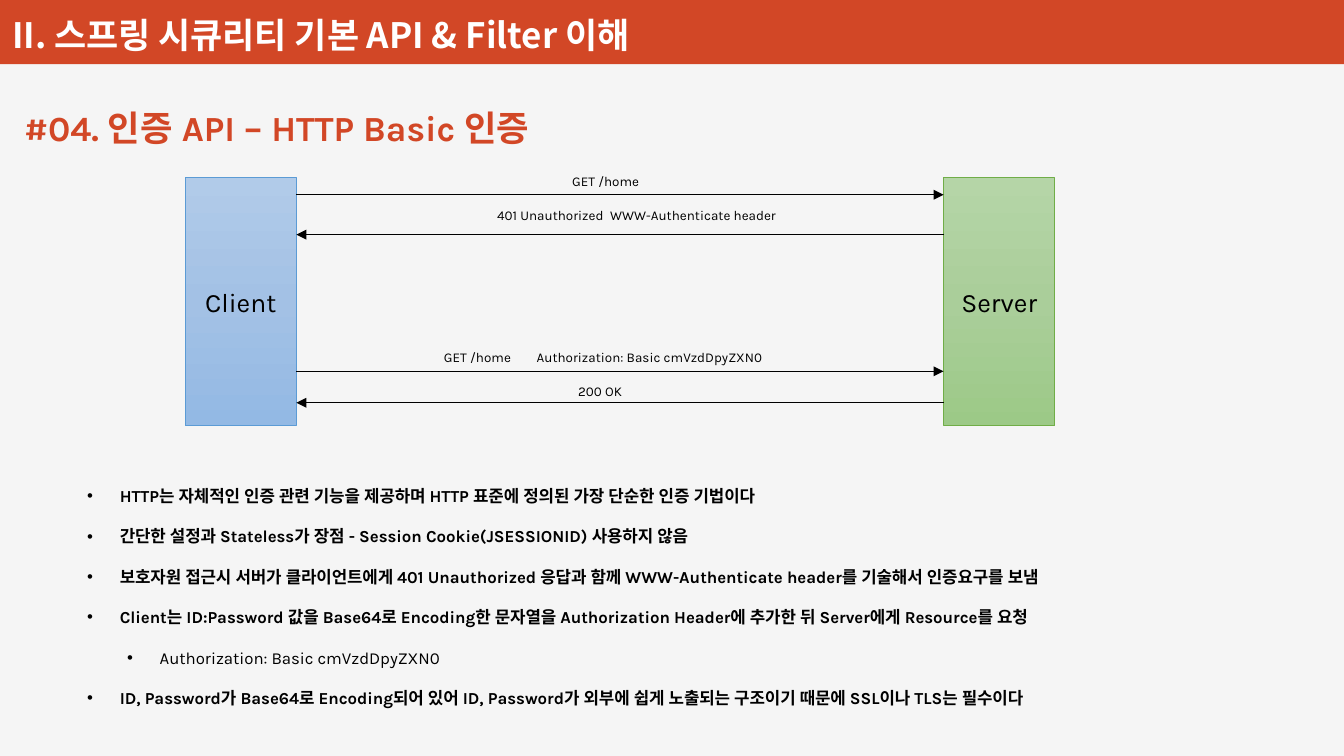
from dataclasses import dataclass

from lxml import etree
from pptx import Presentation
from pptx import util as u
from pptx.dml.color import RGBColor
from pptx.enum import shapes, text
from pptx.oxml.ns import qn


@dataclass(frozen=True)
class Theme:
    latin: str = "Karla"
    korean: str = "Noto Sans CJK KR"
    paper: str = "F5F5F5"
    accent: str = "D24726"
    white: str = "FFFFFF"
    ink: str = "000000"
    header_size: float = 20.8
    title_size: float = 21
    party_size: float = 15.8
    bullet_size: float = 10
    message_size: float = 8
    hairline: float = 0.5


@dataclass(frozen=True)
class Box:
    """Left, top, width and height in percent of the slide."""
    left: float
    top: float
    width: float
    height: float


@dataclass(frozen=True)
class Party:
    name: str
    left: float
    shades: tuple[str, str, str]
    outline: str


@dataclass(frozen=True)
class Message:
    words: str
    box: Box
    arrow_row: float
    to_server: bool
    tab: float = 0


@dataclass(frozen=True)
class Bullet:
    words: str
    level: int = 0


THEME = Theme()
PARTY_TOP, PARTY_WIDTH, PARTY_HEIGHT = 23.52, 8.28, 32.8

CLIENT = Party("Client", 13.77, ("B1CBE9", "A3C1E5", "93B9E4"), "5B9BD5")
SERVER = Party("Server", 70.21, ("B5D5A7", "AACE9A", "9CC987"), "70AD47")

MESSAGES = [
    Message("GET /home", Box(41.76, 22.08, 8, 3.04), 25.76, True),
    Message("401 Unauthorized\tWWW-Authenticate header",
            Box(36.18, 26.56, 23, 3.36), 31.04, False, tab=8.4),
    Message("GET /home\tAuthorization: Basic cmVzdDpyZXN0",
            Box(32.22, 45.44, 26, 3.52), 49.12, True, tab=6.9),
    Message("200 OK", Box(42.21, 49.92, 6, 3.2), 53.28, False),
]

BULLETS = [
    Bullet("HTTP는 자체적인 인증 관련 기능을 제공하며 HTTP 표준에 정의된 가장 단순한 인증 기법이다"),
    Bullet("간단한 설정과 Stateless가 장점 - Session Cookie(JSESSIONID) 사용하지 않음"),
    Bullet("보호자원 접근시 서버가 클라이언트에게 401 Unauthorized 응답과 함께 "
           "WWW-Authenticate header를 기술해서 인증요구를 보냄"),
    Bullet("Client는 ID:Password 값을 Base64로 Encoding한 문자열을 Authorization Header에 "
           "추가한 뒤 Server에게 Resource를 요청"),
    Bullet("Authorization: Basic cmVzdDpyZXN0", level=1),
    Bullet("ID, Password가 Base64로 Encoding되어 있어 ID, Password가 외부에 쉽게 노출되는 "
           "구조이기 때문에 SSL이나 TLS는 필수이다"),
]

prs = Presentation()
prs.slide_width, prs.slide_height = u.Inches(11.11), u.Inches(6.25)
slide = prs.slides.add_slide(prs.slide_layouts[5])


def col(share: float) -> int:
    return round(prs.slide_width * share / 100)


def row(share: float) -> int:
    return round(prs.slide_height * share / 100)


def frame(box: Box) -> tuple[int, int, int, int]:
    return col(box.left), row(box.top), col(box.width), row(box.height)


def add_run(paragraph, words: str, size: float, color: str = THEME.ink,
            bold: bool = False, face: str = THEME.latin) -> None:
    run = paragraph.add_run()
    run.text = words
    run.font.size, run.font.bold, run.font.name = u.Pt(size), bold, face
    run.font.color.rgb = RGBColor.from_string(color)
    east_asian = etree.SubElement(run.font._element, qn("a:ea"))
    east_asian.set("typeface", face)


def set_frame(area, anchor=text.MSO_ANCHOR.TOP):
    body = area.text_frame
    body.word_wrap = True
    body.auto_size = text.MSO_AUTO_SIZE.NONE
    body.vertical_anchor = anchor
    body.margin_left, body.margin_right = u.Inches(0.09), 0
    body.margin_top = body.margin_bottom = u.Inches(0.05)
    return body


def add_text_area(box: Box, anchor=text.MSO_ANCHOR.TOP):
    return set_frame(slide.shapes.add_textbox(*frame(box)), anchor)


def add_rectangle(box: Box):
    rectangle = slide.shapes.add_shape(shapes.MSO_SHAPE.RECTANGLE, *frame(box))
    rectangle.shadow.inherit = False
    return rectangle


def add_party(party: Party) -> None:
    block = add_rectangle(Box(party.left, PARTY_TOP, PARTY_WIDTH, PARTY_HEIGHT))
    block.fill.gradient()
    block.fill.gradient_angle = 270
    stops = block._element.spPr.find(".//" + qn("a:gsLst"))
    stops.clear()
    for position, shade in zip((0, 50000, 100000), party.shades):
        stop = etree.SubElement(stops, qn("a:gs"), pos=str(position))
        etree.SubElement(stop, qn("a:srgbClr"), val=shade)
    block.line.color.rgb = RGBColor.from_string(party.outline)
    block.line.width = u.Pt(THEME.hairline)
    body = set_frame(block, text.MSO_ANCHOR.MIDDLE)
    body.margin_right = body.margin_left
    body.paragraphs[0].alignment = text.PP_ALIGN.CENTER
    add_run(body.paragraphs[0], party.name, THEME.party_size)


def add_message(message: Message) -> None:
    start, end = CLIENT.left + PARTY_WIDTH, SERVER.left
    if not message.to_server:
        start, end = end, start
    height = row(message.arrow_row)
    arrow = slide.shapes.add_connector(
        shapes.MSO_CONNECTOR.STRAIGHT, col(start), height, col(end), height)
    arrow.line.color.rgb = RGBColor.from_string(THEME.ink)
    arrow.line.width = u.Pt(THEME.hairline)
    etree.SubElement(arrow.line._get_or_add_ln(), qn("a:tailEnd"), type="triangle")
    etree.SubElement(arrow._element.spPr, qn("a:effectLst"))

    paragraph = add_text_area(message.box).paragraphs[0]
    if message.tab:
        tabs = etree.SubElement(paragraph._p.get_or_add_pPr(), qn("a:tabLst"))
        etree.SubElement(tabs, qn("a:tab"), pos=str(col(message.tab)), algn="l")
    add_run(paragraph, message.words, THEME.message_size)


def add_bullets(box: Box, bullets: list[Bullet]) -> None:
    body = add_text_area(box)
    for index, bullet in enumerate(bullets):
        paragraph = body.add_paragraph() if index else body.paragraphs[0]
        paragraph.level = bullet.level
        paragraph.line_spacing = 2.0
        properties = paragraph._p.get_or_add_pPr()
        properties.set("marL", str(u.Inches(0.6 if bullet.level else 0.27)))
        properties.set("indent", str(u.Inches(-0.27)))
        etree.SubElement(properties, qn("a:buFont"), typeface="Arial")
        etree.SubElement(properties, qn("a:buChar"), char="•")
        add_run(paragraph, bullet.words, THEME.bullet_size, bold=bullet.level == 0)


# Background and chapter header
slide.background.fill.solid()
slide.background.fill.fore_color.rgb = RGBColor.from_string(THEME.paper)
header_bar = add_rectangle(Box(0, 0, 100, 8.48))
header_bar.fill.solid()
header_bar.fill.fore_color.rgb = RGBColor.from_string(THEME.accent)
header_bar.line.fill.background()
chapter = add_text_area(Box(0.09, -1.6, 55.54, 9.76), text.MSO_ANCHOR.BOTTOM)
add_run(chapter.paragraphs[0], "II. 스프링 시큐리티 기본 API & Filter 이해",
        THEME.header_size, THEME.white, True, THEME.korean)

# Slide title
title = slide.shapes.title
title.left, title.top, title.width, title.height = frame(Box(0.99, 13.28, 44, 7.2))
heading = set_frame(title).paragraphs[0]
heading.alignment = text.PP_ALIGN.LEFT
add_run(heading, "#04. 인증 API – HTTP Basic 인증", THEME.title_size, THEME.accent, True)

# Client and server exchange
for party in (CLIENT, SERVER):
    add_party(party)
for message in MESSAGES:
    add_message(message)

# Explanation
add_bullets(Box(5.67, 60.8, 89.56, 33.92), BULLETS)

prs.save("out.pptx")
